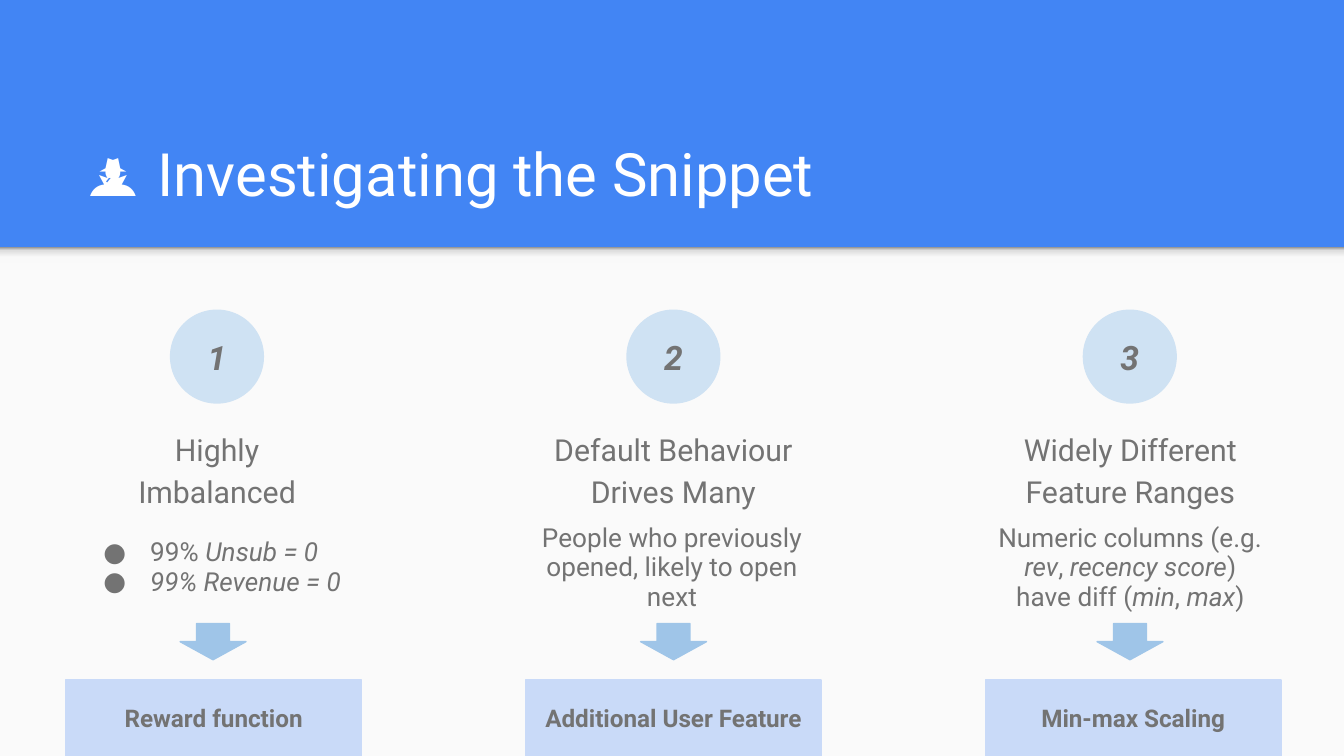
from copy import deepcopy

from lxml.etree import SubElement
from pptx import Presentation
from pptx.dml.color import RGBColor
from pptx.enum.shapes import MSO_SHAPE
from pptx.enum.text import MSO_ANCHOR, PP_ALIGN
from pptx.oxml.ns import qn
from pptx.util import Pt

FONT = "Roboto"
BLUE = "4285F4"
PAPER = "FAFAFA"
WHITE = "FFFFFF"
GREY = "737373"
CIRCLE_BLUE = "CFE2F3"
ARROW_BLUE = "9FC5E8"
BOX_BLUE = "C9DAF8"
SHADOW_STOPS = [(0, "F9F9F9"), (0.36, "F9F9F9"), (0.8, "DEDEDE"), (1, "999999")]


def color(hex_string):
    return RGBColor.from_string(hex_string)


class SlideBuilder:
    def __init__(self, page):
        self.page = page
        fill = page.background.fill
        fill.solid()
        fill.fore_color.rgb = color(BLUE)

    def shape(self, kind, left, top, width, height, fill, outlined=True):
        shape = self.page.shapes.add_shape(kind, Pt(left), Pt(top), Pt(width), Pt(height))
        shape.shadow.inherit = False
        shape.fill.solid()
        shape.fill.fore_color.rgb = color(fill)
        if outlined:
            shape.line.color.rgb = color(fill)
            shape.line.width = Pt(0.75)
        else:
            shape.line.fill.background()
        return shape

    def band_shadow(self, left, top, width, height):
        band = self.shape(MSO_SHAPE.RECTANGLE, left, top, width, height, PAPER, False)
        band.fill.gradient()
        band.fill.gradient_angle = 90
        stop_list = band.element.spPr.find(".//" + qn("a:gsLst"))
        for _ in range(2):
            stop_list.append(deepcopy(stop_list[0]))
        for stop, (position, shade) in zip(band.fill.gradient_stops, SHADOW_STOPS):
            stop.position = position
            stop.color.rgb = color(shade)

    def label(self, shape, text, size, italic=False):
        self.fill_frame(shape.text_frame, [text], size, anchor=MSO_ANCHOR.MIDDLE)
        font = shape.text_frame.paragraphs[0].runs[0].font
        font.bold = True
        font.italic = italic

    def text(self, left, top, width, height, lines, size, **style):
        box = self.page.shapes.add_textbox(Pt(left), Pt(top), Pt(width), Pt(height))
        self.fill_frame(box.text_frame, lines, size, **style)

    def fill_frame(self, frame, lines, size, ink=GREY, align=PP_ALIGN.CENTER,
                   anchor=MSO_ANCHOR.TOP, spacing=1, after=0, bullets=False):
        frame.word_wrap = True
        frame.vertical_anchor = anchor
        frame.margin_left = frame.margin_right = Pt(7.2)
        frame.margin_top = frame.margin_bottom = Pt(7.2)
        for index, line in enumerate(lines):
            para = frame.add_paragraph() if index else frame.paragraphs[0]
            para.alignment = align
            para.line_spacing = spacing
            para.space_after = Pt(after)
            for part, words in enumerate(line.split("*")):
                if words:
                    span = para.add_run()
                    span.text = words
                    span.font.name = FONT
                    span.font.size = Pt(size)
                    span.font.color.rgb = color(ink)
                    span.font.italic = part % 2 == 1
            if bullets:
                self.bullet(para)

    def bullet(self, para):
        properties = para._p.get_or_add_pPr()
        properties.set("marL", str(Pt(36)))
        properties.set("indent", str(Pt(-25)))
        tint = SubElement(properties, qn("a:buClr"))
        SubElement(tint, qn("a:srgbClr")).set("val", GREY)
        SubElement(properties, qn("a:buFont")).set("typeface", FONT)
        SubElement(properties, qn("a:buChar")).set("char", "●")


def main():
    deck = Presentation()
    deck.slide_width, deck.slide_height = Pt(720), Pt(405)
    builder = SlideBuilder(deck.slides.add_slide(deck.slide_layouts[6]))

    builder.shape(MSO_SHAPE.RECTANGLE, 0, 132.5, 720, 272.5, PAPER, False)
    builder.band_shadow(0, 132.5, 720, 8.6)
    builder.text(37.4, 58.3, 647.3, 60.5, ["🕵️ Investigating the Snippet"], 32,
                 ink=WHITE, align=PP_ALIGN.LEFT, anchor=MSO_ANCHOR.BOTTOM)

    imbalance = ["99% *Unsub = 0*", "*99% Revenue = 0*"]
    behaviour = ["People who previously opened, likely to open next"]
    ranges = ["Numeric columns (e.g. *rev*, *recency score*) have diff (*min*, *max*)"]
    bulleted = dict(align=PP_ALIGN.LEFT, bullets=True)
    centred = dict(after=12)
    columns = [
        ("Highly Imbalanced", 54.7, 123.1, imbalance, 37.4, bulleted, 96.5, "Reward function"),
        ("Default Behaviour Drives Many", 281.5, 158.4, behaviour, 280.8, centred, 343.2,
         "Additional User Feature"),
        ("Widely Different Feature Ranges", 526.3, 158.4, ranges, 526.3, centred, 587.7,
         "Min-max Scaling"),
    ]
    for index, column in enumerate(columns):
        heading, heading_left, heading_width, body, body_left, style, arrow_left, action = column
        circle = builder.shape(MSO_SHAPE.OVAL, 91.4 + 244.5 * index, 166.2, 49.7, 49.7,
                               CIRCLE_BLUE)
        builder.label(circle, str(index + 1), 18, italic=True)
        builder.text(heading_left, 221, heading_width, 60.5, [heading], 16.2,
                     spacing=1.15, after=12)
        builder.text(body_left, 263.5, 158.4, 81.4, body, 14,
                     anchor=MSO_ANCHOR.MIDDLE, spacing=0.95, **style)
        builder.shape(MSO_SHAPE.DOWN_ARROW, arrow_left, 334.1, 35.3, 19.4, ARROW_BLUE)
        box = builder.shape(MSO_SHAPE.RECTANGLE, 35.2 + 246.3 * index, 364.3, 158.4, 41,
                            BOX_BLUE)
        builder.label(box, action, 13)

    deck.save("out.pptx")


if __name__ == "__main__":
    main()
